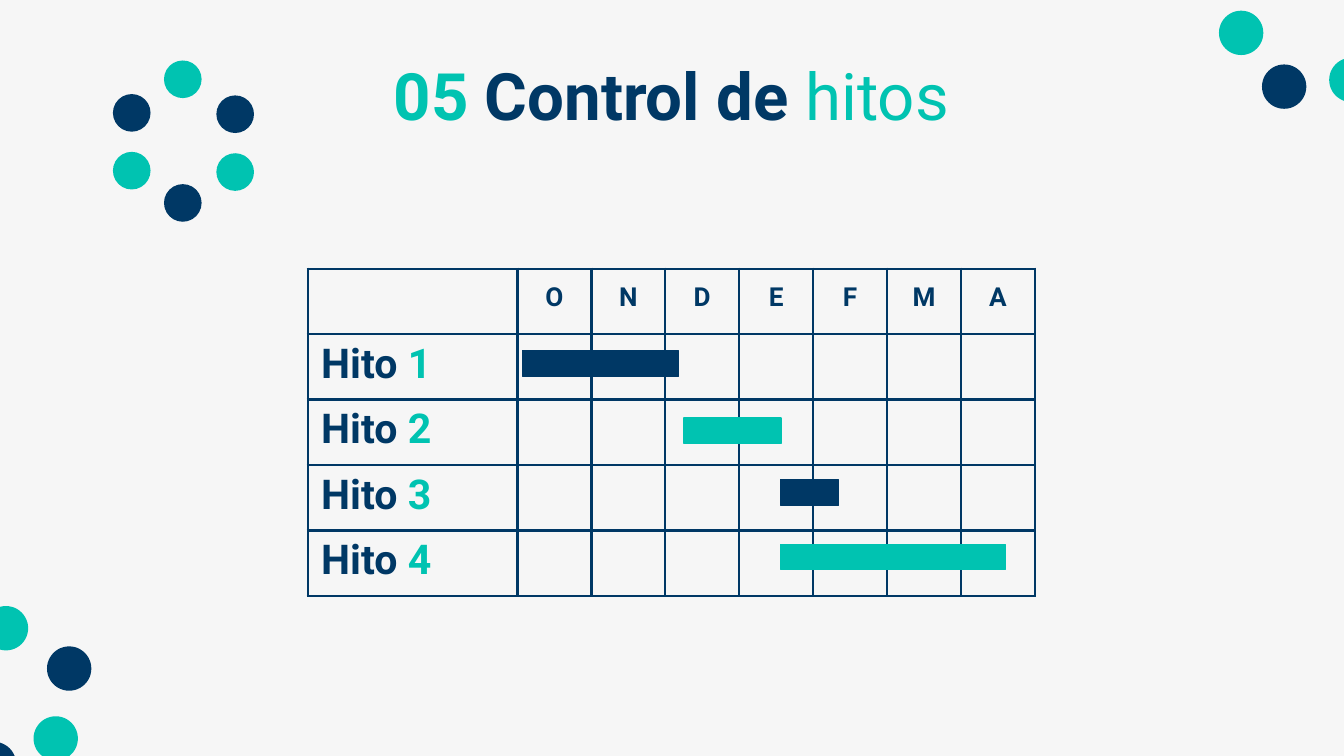
"""Build a milestone control slide with a Gantt table and dot ornaments."""
import lxml.etree
import pptx
import pptx.dml.color
import pptx.enum.shapes
import pptx.enum.text
import pptx.oxml.ns
import pptx.util
from pptx.util import Inches

NAVY = "003865"
TEAL = "00C3B1"
KINDS = pptx.enum.shapes.MSO_SHAPE
ALIGN = pptx.enum.text.PP_ALIGN


def color(value):
    return pptx.dml.color.RGBColor.from_string(value)


def add_run(paragraph, text, size, value, bold=True):
    run = paragraph.add_run()
    run.text = text
    run.font.name = "Roboto"
    run.font.size = pptx.util.Pt(size)
    run.font.bold = bold
    run.font.color.rgb = color(value)


presentation = pptx.Presentation()
presentation.slide_width = Inches(10)
presentation.slide_height = Inches(10) * 9 // 16
slide = presentation.slides.add_slide(presentation.slide_layouts[5])
slide.background.fill.solid()
slide.background.fill.fore_color.rgb = color("F6F6F6")

title = slide.shapes.title
title.left, title.top = Inches(0.79), Inches(0.42)
title.width, title.height = Inches(8.41), Inches(0.63)
frame = title.text_frame
frame.auto_size = pptx.enum.text.MSO_AUTO_SIZE.NONE
frame.vertical_anchor = pptx.enum.text.MSO_ANCHOR.TOP
frame.margin_left = frame.margin_right = Inches(0.1)
frame.margin_top = frame.margin_bottom = Inches(0.1)
paragraph = frame.paragraphs[0]
paragraph.alignment = ALIGN.CENTER
paragraph.line_spacing = 0.8
add_run(paragraph, "05 ", 35, TEAL)
add_run(paragraph, "Control de ", 35, NAVY)
add_run(paragraph, "hitos", 35, TEAL, False)

months = "ONDEFMA"
milestones = 4
label_width, month_width = Inches(1.56), Inches(0.55)
table_height = Inches(2.43)
table = slide.shapes.add_table(
    milestones + 1, len(months) + 1, Inches(2.29), Inches(2),
    label_width + len(months) * month_width, table_height).table
table.first_row = table.horz_banding = False
for index, column in enumerate(table.columns):
    column.width = month_width if index else label_width
for row in table.rows:
    row.height = table_height // (milestones + 1)

for cell in table.iter_cells():
    cell.margin_top = cell.margin_bottom = 0
    properties = cell._tc.get_or_add_tcPr()
    for side in ("a:lnL", "a:lnR", "a:lnT", "a:lnB"):
        line = lxml.etree.SubElement(
            properties, pptx.oxml.ns.qn(side), w=str(pptx.util.Pt(1.5)))
        fill = lxml.etree.SubElement(line, pptx.oxml.ns.qn("a:solidFill"))
        lxml.etree.SubElement(fill, pptx.oxml.ns.qn("a:srgbClr"), val=NAVY)
    cell.fill.background()

for index, month in enumerate(months, 1):
    cell = table.cell(0, index)
    cell.margin_top = cell.margin_bottom = Inches(0.1)
    paragraph = cell.text_frame.paragraphs[0]
    paragraph.alignment = ALIGN.CENTER
    add_run(paragraph, month, 14, NAVY)

for number in range(1, milestones + 1):
    cell = table.cell(number, 0)
    cell.margin_top = cell.margin_bottom = Inches(0.1)
    paragraph = cell.text_frame.paragraphs[0]
    paragraph.line_spacing = 0.8
    add_run(paragraph, "Hito ", 22, NAVY)
    add_run(paragraph, str(number), 22, TEAL)

bars = [
    (3.89, 2.61, 1.16, NAVY),
    (5.09, 3.11, 0.72, TEAL),
    (5.81, 3.57, 0.43, NAVY),
    (5.81, 4.05, 1.67, TEAL),
]
for left, top, width, value in bars:
    bar = slide.shapes.add_shape(
        KINDS.RECTANGLE, Inches(left), Inches(top), Inches(width), Inches(0.19))
    bar.shadow.inherit = False
    bar.fill.solid()
    bar.fill.fore_color.rgb = color(value)
    bar.line.color.rgb = color(value)
    bar.line.width = pptx.util.Pt(0.75)

dot_groups = [
    (0.33, [(9.89, 0.43, TEAL), (9.07, 0.08, TEAL), (9.39, 0.48, NAVY)]),
    (0.33, [(0.35, 4.81, NAVY), (0.25, 5.33, TEAL),
            (-0.12, 4.51, TEAL), (-0.21, 5.52, NAVY)]),
    (0.28, [(1.22, 0.45, TEAL), (0.84, 0.7, NAVY), (1.22, 1.37, NAVY),
            (1.61, 1.14, TEAL), (1.61, 0.71, NAVY), (0.84, 1.13, TEAL)]),
]
for diameter, dots in dot_groups:
    group = slide.shapes.add_group_shape()
    for left, top, value in dots:
        dot = group.shapes.add_shape(
            KINDS.OVAL, Inches(left), Inches(top), Inches(diameter), Inches(diameter))
        dot.shadow.inherit = False
        dot.fill.solid()
        dot.fill.fore_color.rgb = color(value)
        dot.line.fill.background()

presentation.save("out.pptx")
